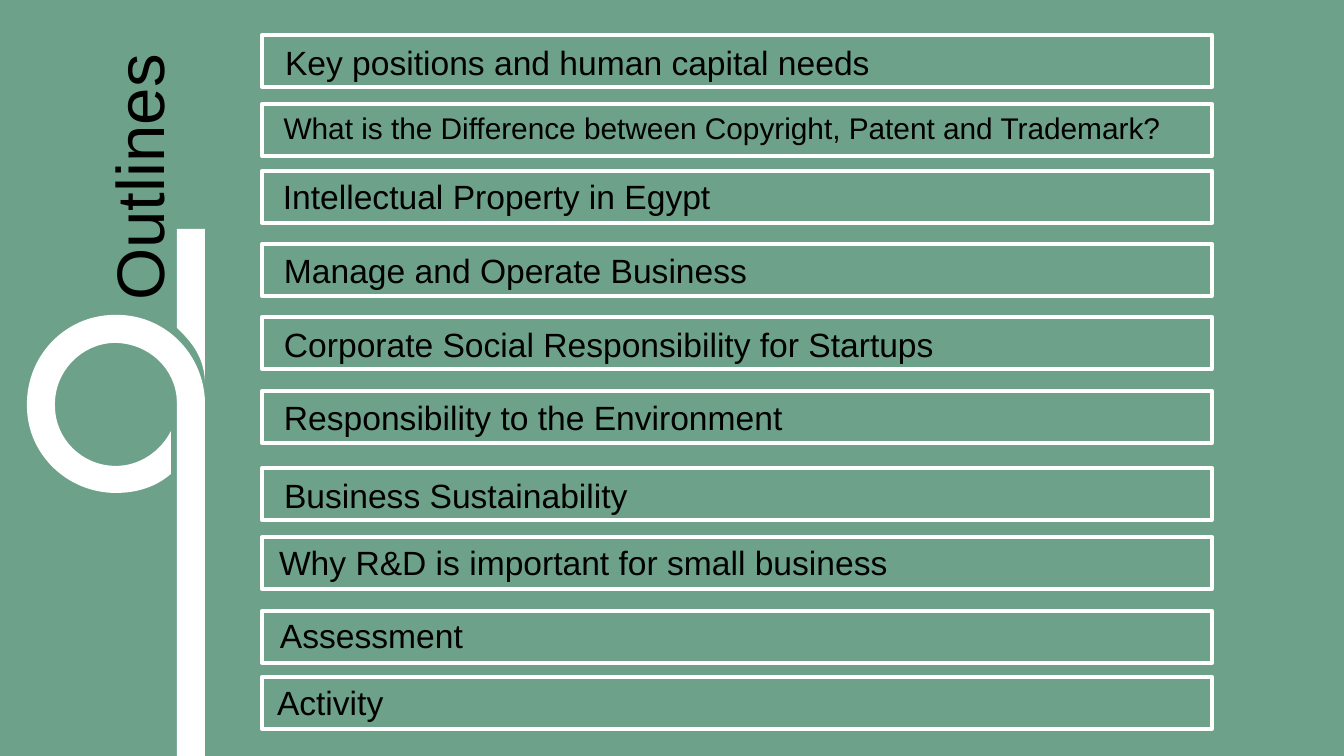
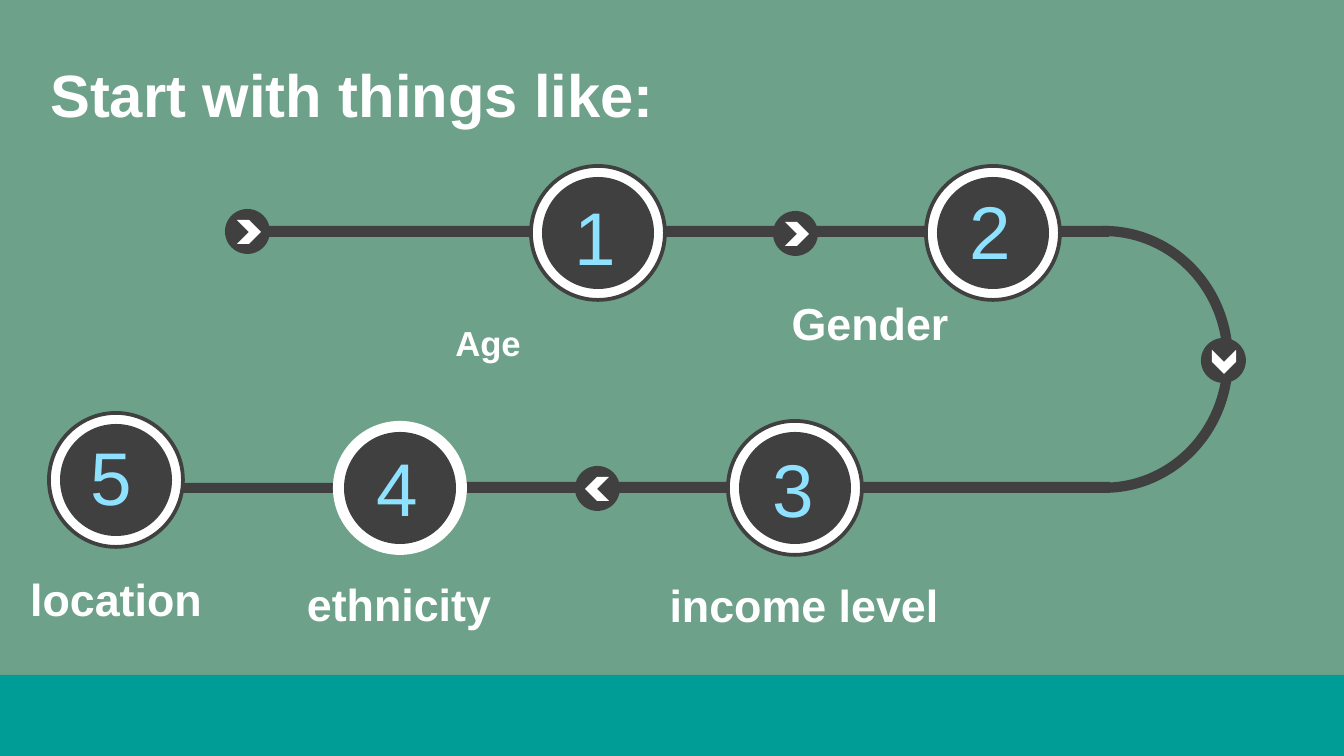
import math

from lxml import etree
from pptx import Presentation
from pptx import util as u
from pptx.dml.color import RGBColor
from pptx.enum import shapes, text
from pptx.oxml.ns import qn

PAGE_W, PAGE_H = 1344, 756
EMU_PER_PX = 9144000 / PAGE_W
FONT = "Arial"
SAGE, WHITE, BLACK = "6DA18A", "FFFFFF", "000000"
CHARCOAL, SKY, TEAL = "404040", "8FE2FF", "009D97"
KIND = shapes.MSO_SHAPE
ALIGN = text.PP_ALIGN
ANCHOR = text.MSO_ANCHOR

# wording, band top, label left, top, width, height, text size
TOPICS = [
    ("Key positions and human capital needs", 35, 267, 30, 847, 99, 18),
    ("What is the Difference between Copyright, Patent and Trademark?",
     104, 266, 99, 952, 90, 16),
    ("Intellectual Property in Egypt", 171, 267, 167, 1019, 56, 18),
    ("Manage and Operate Business", 244, 266, 238, 741, 99, 18),
    ("Corporate Social Responsibility for Startups",
     317, 266, 313, 741, 99, 18),
    ("Responsibility to the Environment", 391, 266, 385, 741, 99, 18),
    ("Business Sustainability", 468, 266, 463, 925, 99, 18),
    ("Why R&D is important for small business", 537, 261, 531, 698, 99, 18),
    ("Assessment", 611, 262, 603, 857, 99, 18),
    ("Activity", 677, 259, 671, 741, 99, 18),
]

# Parts of the letter q: a start point, then lines (one point) and
# Bézier curves (two handles and an end point).
BOWL = [
    [(199, 406)], [(205, 406)], [(205, 417), (203, 428), (199, 438)],
]
RING = [
    [(113, 315)], [(163, 313), (203, 352), (205, 401)], [(177, 402)],
    [(176, 368), (148, 343), (114, 343)], [(81, 344), (54, 372), (55, 406)],
    [(55, 439), (82, 466), (116, 466)], [(140, 466), (161, 451), (171, 431)],
    [(171, 474)], [(156, 487), (137, 493), (116, 493)],
    [(67, 493), (27, 454), (27, 406)], [(26, 356), (65, 316), (113, 315)],
]
STEM = [
    [(177, 229)], [(205, 229)], [(205, 281), (205, 332), (205, 382)],
    [(204, 359), (194, 344), (177, 328)], [(177, 229)],
]

# digit, left and top of the ring, left and top of the digit, ring outlined
STEPS = [
    ("1", 531, 166, 561, 184, True),
    ("2", 926, 166, 956, 178, True),
    ("3", 728, 421, 759, 436, True),
    ("4", 333, 421, 363, 435, False),
    ("5", 49, 413, 77, 424, True),
]
CAPTIONS = [
    ("Gender", 686, 289),
    ("income level", 620, 571),
    ("ethnicity", 215, 570),
    ("location", -68, 565),
]
# left, top, direction in degrees
ARROWS = [(225, 209, 0), (773, 211, 0), (1201, 338, 90), (575, 466, 180)]


def px(length):
    return u.Emu(round(length * EMU_PER_PX))


def color(code):
    return RGBColor.from_string(code)


def paint(shape, fill=None, line=None):
    shape.shadow.inherit = False
    if fill:
        shape.fill.solid()
        shape.fill.fore_color.rgb = color(fill)
    else:
        shape.fill.background()
    if line:
        shape.line.color.rgb = color(line)
        shape.line.width = u.Pt(2)
    else:
        shape.line.fill.background()


def add_page(deck):
    page = deck.slides.add_slide(deck.slide_layouts[6])
    page.background.fill.solid()
    page.background.fill.fore_color.rgb = color(SAGE)
    return page


def add_shape(parent, kind, left, top, width, height, fill=None, line=None):
    """Add a preset shape to a page or a group."""
    shape = parent.shapes.add_shape(
        kind, px(left), px(top), px(width), px(height))
    paint(shape, fill, line)
    return shape


def add_outline(page, contours, fill):
    """Add one freeform whose contours hold lines and Bézier curves."""
    builder = None
    for contour in contours:
        (start,), *segments = contour
        corner = [px(value) for value in start]
        if builder:
            builder.move_to(*corner)
        else:
            builder = page.shapes.build_freeform(*corner, scale=1.0)
        builder.add_line_segments(
            [(px(x), px(y)) for points in segments for x, y in points])
    shape = builder.convert_to_shape()
    paint(shape, fill)
    lines = shape._element.iter(qn("a:lnTo"))
    bend_lines(list(lines), [points for contour in contours
                             for points in contour[1:]])


def bend_lines(lines, segments):
    """Join each run of three lines into the curve it stands for."""
    remaining = iter(lines)
    for points in segments:
        run = [next(remaining) for _ in points]
        if len(run) == 3:
            curve = etree.Element(qn("a:cubicBezTo"))
            run[0].addprevious(curve)
            for line in run:
                curve.append(line[0])
                line.getparent().remove(line)


def write(box, wording, size, ink, bold=False, align=ALIGN.LEFT,
          anchor=ANCHOR.TOP, grow=True):
    """Put one line of text in a box and return its run."""
    frame = box.text_frame
    frame.word_wrap = True
    frame.vertical_anchor = anchor
    frame.auto_size = (text.MSO_AUTO_SIZE.SHAPE_TO_FIT_TEXT if grow
                       else text.MSO_AUTO_SIZE.NONE)
    para = frame.paragraphs[0]
    para.alignment = align
    span = para.add_run()
    span.text = wording
    font = para.font
    font.name, font.size, font.bold = FONT, u.Pt(size), bold
    font.color.rgb = color(ink)
    return span


def add_text(page, wording, left, top, width, height, size, ink, **style):
    box = page.shapes.add_textbox(px(left), px(top), px(width), px(height))
    return box, write(box, wording, size, ink, **style)


def add_caption(page, wording, left, top, size=24, height=67):
    return add_text(page, wording, left, top, 368, height, size, WHITE,
                    bold=True, align=ALIGN.CENTER)[1]


def add_topic(page, wording, band_top, left, top, width, height, size):
    add_shape(page, KIND.RECTANGLE, 262, band_top, 950, 52, line=WHITE)
    label = add_shape(page, KIND.ROUND_2_SAME_RECTANGLE,
                      left, top, width, height)
    write(label, wording, size, BLACK)


def add_step(page, digit, left, top, digit_left, digit_top, outlined):
    ring = page.shapes.add_group_shape()
    add_shape(ring, KIND.OVAL, left, top, 134, 134, WHITE,
              CHARCOAL if outlined else None)
    add_shape(ring, KIND.OVAL, left + 11, top + 11, 112, 112, CHARCOAL)
    add_text(page, digit, digit_left, digit_top, 65, 103, 40, SKY)


def add_arrow(page, left, top, direction):
    """Add a disc with a chevron that leans one px the way it points."""
    disc = page.shapes.add_group_shape()
    add_shape(disc, KIND.OVAL, left, top, 45, 45, CHARCOAL)
    angle = math.radians(direction)
    chevron = add_shape(disc, KIND.CHEVRON, left + 11 + math.cos(angle),
                        top + 11 + math.sin(angle), 24, 24, WHITE)
    chevron.rotation = direction


def add_track(page):
    add_shape(page, KIND.RECTANGLE, 153, 483, 335, 10, CHARCOAL)
    track = page.shapes.add_group_shape()
    bend = add_shape(track, KIND.BLOCK_ARC, 976, 226, 257, 267, CHARCOAL)
    for i, value in enumerate((161.27, 54.9, 0.04)):
        bend.adjustments[i] = value
    add_shape(track, KIND.RECTANGLE, 238, 226, 871, 11, CHARCOAL)
    add_shape(track, KIND.RECTANGLE, 387, 482, 723, 11, CHARCOAL)


def build_outlines(deck):
    page = add_page(deck)
    add_outline(page, [BOWL, RING], WHITE)
    add_outline(page, [STEM], WHITE)
    title, _ = add_text(page, "Outlines", -26, 135, 328, 85, 36, BLACK,
                        align=ALIGN.CENTER, anchor=ANCHOR.MIDDLE, grow=False)
    title.rotation = 270
    add_shape(page, KIND.RECTANGLE, 177, 398, 28, PAGE_H - 398, WHITE)
    for topic in TOPICS:
        add_topic(page, *topic)


def build_steps(deck):
    page = add_page(deck)
    add_track(page)
    add_text(page, "Start with things like:", 37, 51, 1307, 42, 32, WHITE,
             bold=True, grow=False)
    for step in STEPS:
        add_step(page, *step)
    for arrow in ARROWS:
        add_arrow(page, *arrow)
    age = add_caption(page, "Age", 304, 275, size=32, height=62)
    age._r.get_or_add_rPr().set("baseline", "-25000")
    for caption in CAPTIONS:
        add_caption(page, *caption)
    add_shape(page, KIND.RECTANGLE, 0, 675, PAGE_W, 81, TEAL)


def main():
    deck = Presentation()
    deck.slide_width, deck.slide_height = px(PAGE_W), px(PAGE_H)
    build_outlines(deck)
    build_steps(deck)
    deck.save("out.pptx")


if __name__ == "__main__":
    main()
